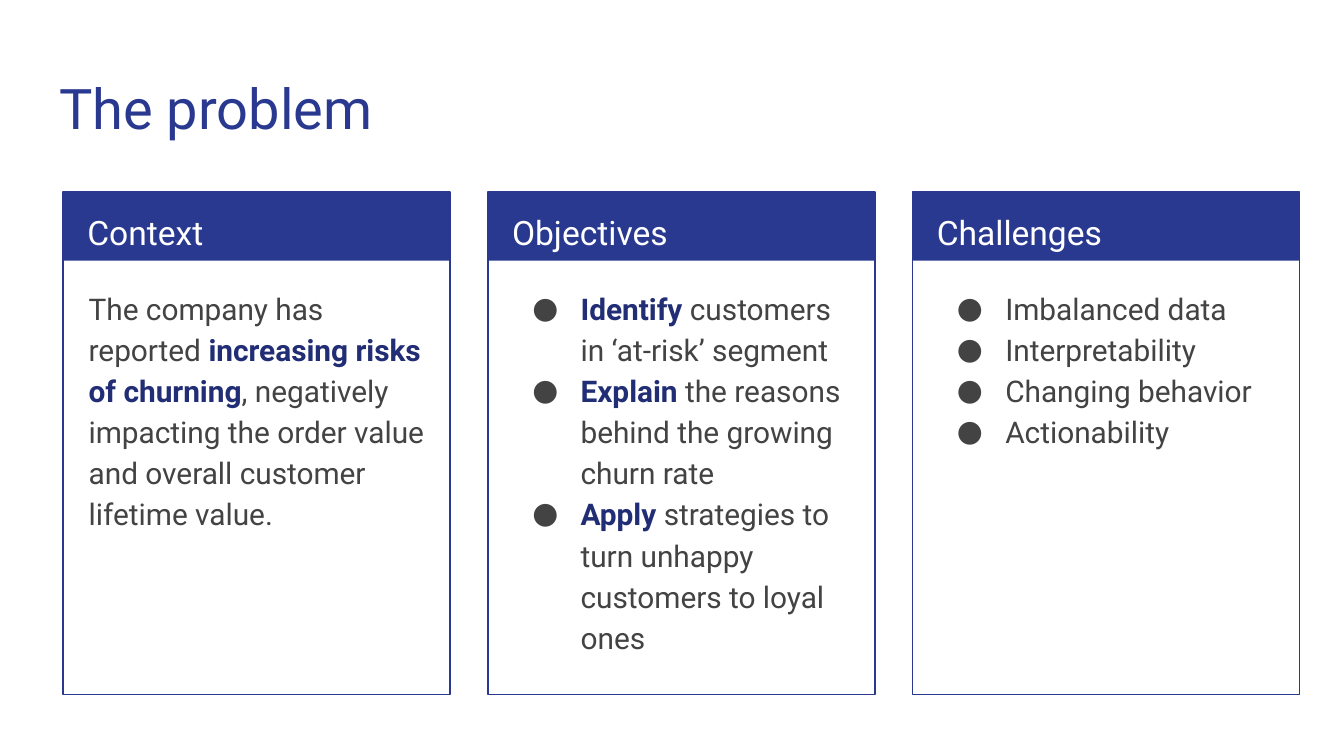
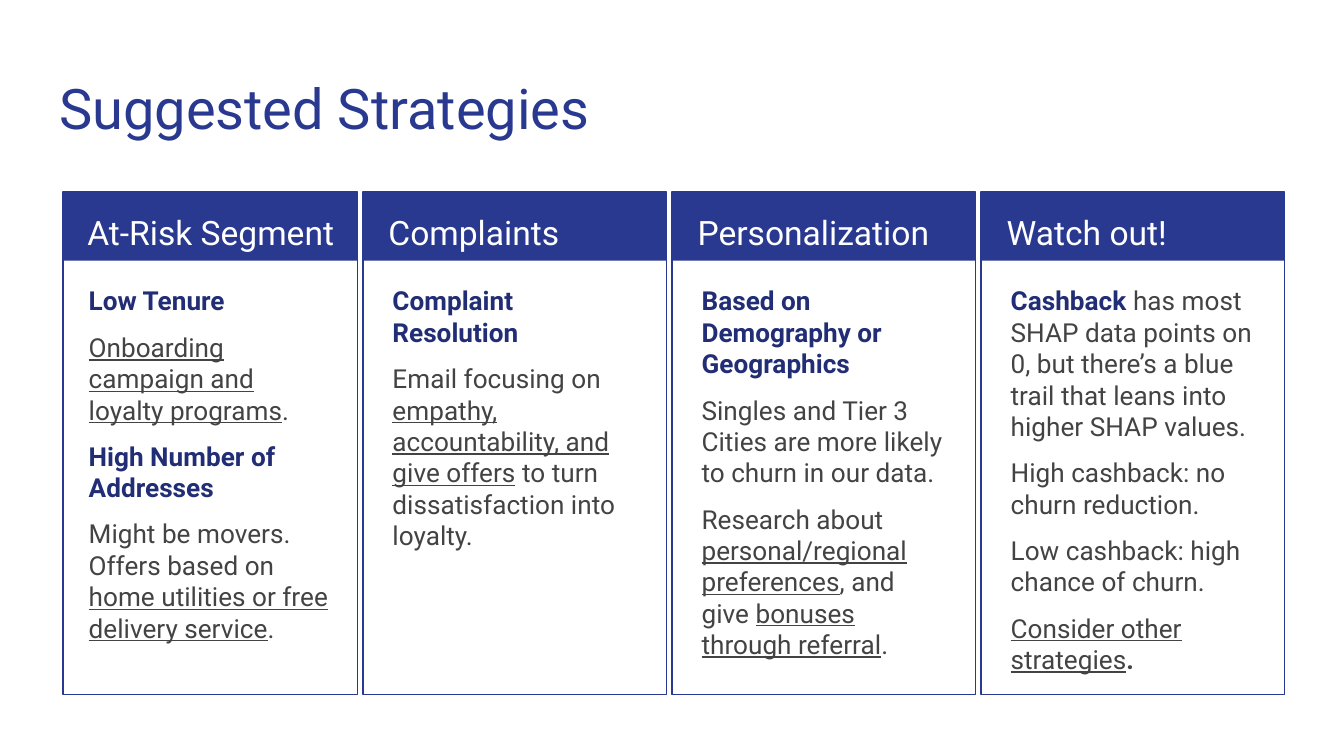
from copy import deepcopy
from lxml.etree import SubElement
from pptx import Presentation
from pptx.dml.color import RGBColor
from pptx.enum.shapes import MSO_SHAPE
from pptx.enum.text import MSO_ANCHOR, MSO_AUTO_SIZE, PP_ALIGN
from pptx.oxml.ns import qn
from pptx.util import Inches, Pt

WIDE, HIGH = Inches(10), Inches(5.625)
COL, ROW = WIDE / 100, HIGH / 100
FONT = "Roboto"
COLORS = {"blue": "2A3990", "navy": "212D74", "gray": "434343", "white": "FFFFFF"}
MARKS = {
    "*": {"bold": True, "color": "navy"},
    "_": {"underline": True},
    "~": {"bold": True},
}
TOP, BAND, FRAME = 25.4, 9.1, 66.5
MOST = 4

PROBLEM = [
    ("Context", ["The company has reported *increasing risks of churning*, negatively "
                 "impacting the order value and overall customer lifetime value."]),
    ("Objectives", ["*Identify *customers in ‘at-risk’ segment",
                    "*Explain* the reasons behind the growing churn rate",
                    "*Apply *strategies to turn unhappy customers to loyal ones"]),
    ("Challenges", ["Imbalanced data", "Interpretability",
                    "Changing behavior", "Actionability"]),
]
PLANS = [
    ("At-Risk Segment", ["*Low Tenure*",
                         "_Onboarding campaign and loyalty programs_.",
                         "*High Number of Addresses*",
                         "Might be movers. Offers based on "
                         "_home utilities or free delivery service_."]),
    ("Complaints", ["*Complaint Resolution*",
                    "Email focusing on _empathy, accountability, and give offers_"
                    " to turn dissatisfaction into loyalty."]),
    ("Personalization", ["*Based on Demography or Geographics*",
                         "Singles and Tier 3 Cities are more likely to churn in our data.",
                         "Research about _personal/regional preferences_, and give "
                         "_bonuses through referral_."]),
    ("Watch out!", ["*Cashback* has most SHAP data points on 0, but there’s a blue "
                    "trail that leans into higher SHAP values.",
                    "High cashback: no churn reduction.",
                    "Low cashback: high chance of churn.",
                    "_Consider other strategies_~.~"]),
]


def paint(name):
    return RGBColor.from_string(COLORS[name])


def box(x, y, w, h):
    return round(x * COL), round(y * ROW), round(w * COL), round(h * ROW)


def move(shape, x, y, w, h):
    shape.left, shape.top, shape.width, shape.height = box(x, y, w, h)


def chop(text):
    active, part = [], ""
    for char in text:
        if char not in MARKS:
            part += char
            continue
        if part:
            yield part, list(active)
        part = ""
        if char in active:
            active.remove(char)
        else:
            active.append(char)
    if part:
        yield part, active


def bullet(props, color):
    tint = SubElement(props, qn("a:buClr"))
    SubElement(tint, qn("a:srgbClr"), val=COLORS[color])
    SubElement(props, qn("a:buFont"), typeface=FONT)
    SubElement(props, qn("a:buChar"), char="●")


def write(shape, lines, size=16, color="gray", space=1.0, gap=0, dots=False):
    frame = shape.text_frame
    frame.word_wrap = True
    frame.auto_size = MSO_AUTO_SIZE.NONE
    frame.vertical_anchor = MSO_ANCHOR.TOP
    frame.margin_left = frame.margin_right = Inches(0.1)
    frame.margin_top = frame.margin_bottom = Inches(0.1)
    for spot, line in enumerate(lines):
        para = frame.add_paragraph() if spot else frame.paragraphs[0]
        para.alignment = PP_ALIGN.LEFT
        para.line_spacing = space
        para.space_before = Pt(gap if spot else 0)
        para.space_after = Pt(0)
        props = para._p.get_or_add_pPr()
        props.set("marL", str(Inches(0.5) if dots else 0))
        props.set("indent", str(Inches(-0.36) if dots else 0))
        if dots:
            bullet(props, color)
        else:
            SubElement(props, qn("a:buNone"))
        for part, marks in chop(line):
            look = {"bold": False, "underline": False, "color": color}
            for mark in marks:
                look.update(MARKS[mark])
            run = para.add_run()
            run.text = part
            font = run.font
            font.name, font.size = FONT, Pt(size)
            font.bold, font.underline = look["bold"], look["underline"]
            font.color.rgb = paint(look["color"])


def panel(group, x, w, h, solid):
    shape = group.shapes.add_shape(MSO_SHAPE.RECTANGLE, *box(x, TOP, w, h))
    shape.shadow.inherit = False
    if solid:
        shape.fill.solid()
        shape.fill.fore_color.rgb = paint("blue")
        shape.line.fill.background()
    else:
        shape.fill.background()
        shape.line.color.rgb = paint("blue")
        shape.line.width = Pt(0.75)


def card(slide, head, body, x, w, pads, spans, title, lines, **style):
    group = slide.shapes.add_group_shape()
    panel(group, x, w, BAND, True)
    panel(group, x, w, FRAME, False)
    for shape in (head, body):
        slide.shapes.element.append(shape.element)
    move(head, x + pads[0], TOP, spans[0], 8.9)
    write(head, [title], size=18, color="white", space=1.15)
    move(body, x + pads[1], 35.9, spans[1], 54.4)
    write(body, lines, **style)


def extend(layout):
    base = layout.placeholders[1].element
    for step in range(1, 2 * MOST):
        twin = deepcopy(base)
        twin.nvSpPr.cNvPr.set("id", str(50 + step))
        twin.ph.set("idx", str(20 + step))
        layout.shapes.element.append(twin)


def start(deck, layout, title, count):
    slide = deck.slides.add_slide(layout)
    move(slide.shapes.title, 3.4, 8, 93.2, 11.7)
    write(slide.shapes.title, [title], size=30, color="blue")
    slots = [s for s in slide.placeholders if s.placeholder_format.idx]
    for spare in slots[2 * count:]:
        spare.element.getparent().remove(spare.element)
    return slide, list(zip(slots[0:2 * count:2], slots[1:2 * count:2]))


def main():
    deck = Presentation()
    deck.slide_width, deck.slide_height = WIDE, HIGH
    layout = deck.slide_layouts[1]
    extend(layout)

    slide, pairs = start(deck, layout, "The problem", len(PROBLEM))
    for spot, (pair, (title, lines)) in enumerate(zip(pairs, PROBLEM)):
        card(slide, *pair, 4.7 + 31.6 * spot, 28.8, (0.8, 0.9), (27.3, 27.1),
             title, lines, space=1.15, dots=len(lines) > 1)

    slide, pairs = start(deck, layout, "Suggested Strategies", len(PLANS))
    for spot, (pair, (title, lines)) in enumerate(zip(pairs, PLANS)):
        edge = 4 + 23 * spot
        left = max(edge, 4.7)
        pads, span = ((0.9, 1.2), 20.8) if spot else ((0.8, 0.9), 27.3)
        card(slide, *pair, left, edge + 22.6 - left, pads, (span, 20.1),
             title, lines, size=14, gap=8)

    deck.save("out.pptx")


if __name__ == "__main__":
    main()
